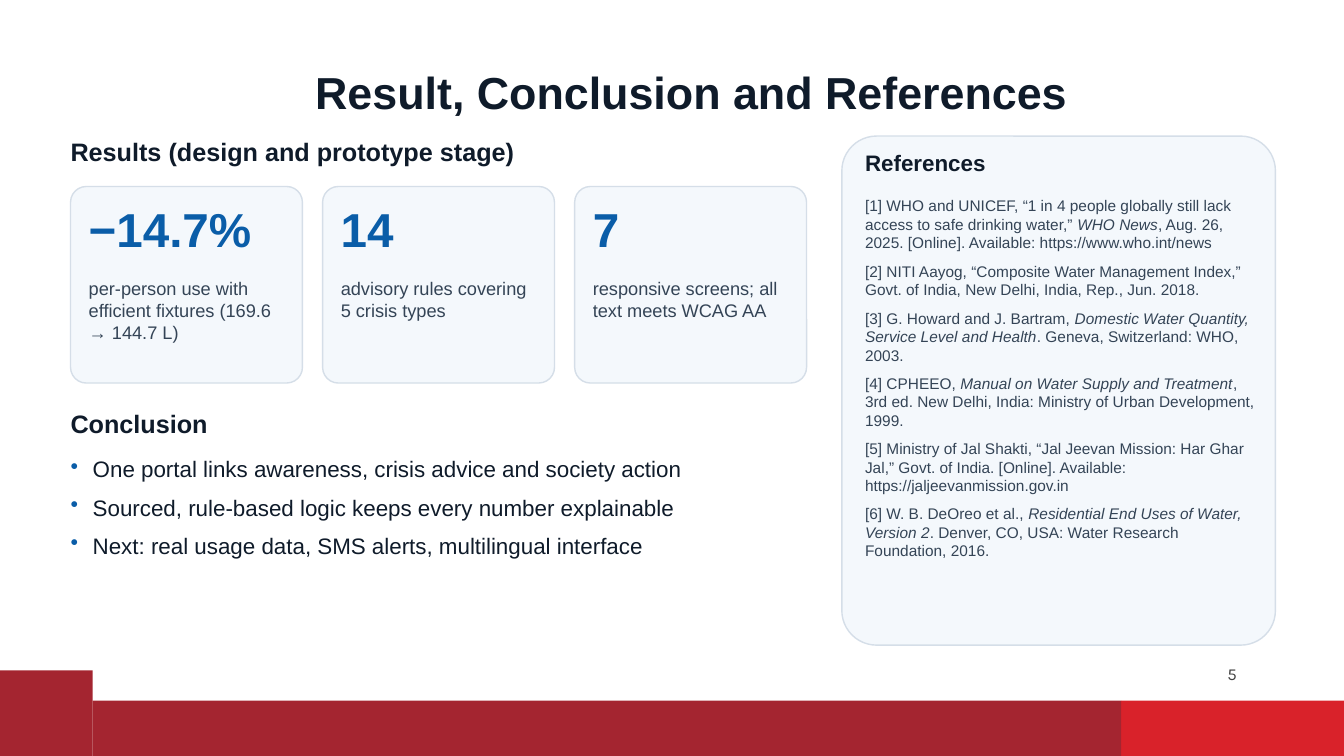
from lxml import etree
from pptx import Presentation
from pptx.dml.color import RGBColor
from pptx.enum.shapes import MSO_SHAPE
from pptx.enum.text import MSO_ANCHOR, PP_ALIGN
from pptx.oxml.ns import qn
from pptx.util import Inches, Pt

RECTANGLE = MSO_SHAPE.RECTANGLE
ROUNDED = MSO_SHAPE.ROUNDED_RECTANGLE
LEFT, CENTER = PP_ALIGN.LEFT, PP_ALIGN.CENTER
TOP, MIDDLE, BOTTOM = MSO_ANCHOR.TOP, MSO_ANCHOR.MIDDLE, MSO_ANCHOR.BOTTOM

COLORS = {
    "ink": "0F1B2A",
    "body": "344456",
    "accent": "0A5DA8",
    "card": "F4F8FC",
    "card_edge": "D5DEE8",
    "dark_red": "A42530",
    "bright_red": "D9222A",
    "page_number": "404040",
}

FOOTER_BLOCKS = [
    (0, 6.65, 0.92, 0.85, "dark_red"),
    (11.12, 6.95, 2.21, 0.55, "bright_red"),
    (0.92, 6.95, 10.2, 0.55, "dark_red"),
]

RESULTS = [
    ("−14.7%", "per-person use with efficient fixtures (169.6 → 144.7 L)"),
    ("14", "advisory rules covering 5 crisis types"),
    ("7", "responsive screens; all text meets WCAG AA"),
]

CONCLUSIONS = [
    "One portal links awareness, crisis advice and society action",
    "Sourced, rule-based logic keeps every number explainable",
    "Next: real usage data, SMS alerts, multilingual interface",
]

# Titles between asterisks are set in italics.
REFERENCES = [
    "[1] WHO and UNICEF, “1 in 4 people globally still lack access to safe "
    "drinking water,” *WHO News*, Aug. 26, 2025. [Online]. Available: "
    "https://www.who.int/news",
    "[2] NITI Aayog, “Composite Water Management Index,” Govt. of India, "
    "New Delhi, India, Rep., Jun. 2018.",
    "[3] G. Howard and J. Bartram, *Domestic Water Quantity, Service Level "
    "and Health*. Geneva, Switzerland: WHO, 2003.",
    "[4] CPHEEO, *Manual on Water Supply and Treatment*, 3rd ed. New Delhi, "
    "India: Ministry of Urban Development, 1999.",
    "[5] Ministry of Jal Shakti, “Jal Jeevan Mission: Har Ghar Jal,” Govt. of "
    "India. [Online]. Available: https://jaljeevanmission.gov.in",
    "[6] W. B. DeOreo et al., *Residential End Uses of Water, Version 2*. "
    "Denver, CO, USA: Water Research Foundation, 2016.",
]


def rgb(color):
    return RGBColor.from_string(COLORS[color])


def add_bullet(paragraph, color):
    properties = paragraph._p.get_or_add_pPr()
    indent = Inches(0.22)
    properties.set("marL", str(indent))
    properties.set("indent", str(-indent))
    bullet_color = etree.SubElement(properties, qn("a:buClr"))
    etree.SubElement(bullet_color, qn("a:srgbClr"), val=COLORS[color])
    etree.SubElement(properties, qn("a:buChar"), char="•")


def add_text(slide, paragraphs, left, top, width, height, *, size, color="ink",
             bold=False, font="Arial", align=LEFT, anchor=TOP, space_after=None,
             line_spacing=None, bullet_color=None):
    """Add a text box without insets; asterisks in a paragraph switch italics."""
    box = slide.shapes.add_textbox(Inches(left), Inches(top), Inches(width), Inches(height))
    frame = box.text_frame
    frame.word_wrap = True
    frame.vertical_anchor = anchor
    frame.margin_left = frame.margin_right = frame.margin_top = frame.margin_bottom = 0
    for index, text in enumerate(paragraphs):
        paragraph = frame.add_paragraph() if index else frame.paragraphs[0]
        if bullet_color:
            add_bullet(paragraph, bullet_color)
        paragraph.alignment = align
        if space_after is not None:
            paragraph.space_after = Pt(space_after)
        if line_spacing is not None:
            paragraph.line_spacing = line_spacing
        for part, words in enumerate(text.split("*")):
            run = paragraph.add_run()
            run.text = words
            run.font.name = font
            run.font.size = Pt(size)
            run.font.bold = bold
            run.font.italic = part % 2 == 1
            run.font.color.rgb = rgb(color)


def add_block(slide, shape_type, left, top, width, height, fill):
    block = slide.shapes.add_shape(
        shape_type, Inches(left), Inches(top), Inches(width), Inches(height))
    block.shadow.inherit = False
    block.fill.solid()
    block.fill.fore_color.rgb = rgb(fill)
    block.line.fill.background()
    return block


def add_card(slide, left, top, width, height):
    card = add_block(slide, ROUNDED, left, top, width, height, "card")
    card.adjustments[0] = 0.08
    card.line.color.rgb = rgb("card_edge")
    card.line.width = Pt(1)


def add_result(slide, left, figure, caption):
    add_card(slide, left, 1.85, 2.3, 1.95)
    text_left = left + 0.18
    add_text(slide, [figure], text_left, 1.98, 2, 0.75, size=34, color="accent", bold=True)
    add_text(slide, [caption], text_left, 2.75, 1.98, 1, size=13, color="body")


def add_references(slide):
    add_card(slide, 8.35, 1.35, 4.3, 5.05)
    add_text(slide, ["References"], 8.58, 1.48, 3.9, 0.4, size=16, bold=True)
    add_text(slide, REFERENCES, 8.58, 1.95, 3.9, 4.35, size=11, color="body", space_after=7)


def main():
    presentation = Presentation()
    presentation.slide_width = Inches(13.33)
    presentation.slide_height = Inches(7.5)
    slide = presentation.slides.add_slide(presentation.slide_layouts[6])

    for left, top, width, height, fill in FOOTER_BLOCKS:
        add_block(slide, RECTANGLE, left, top, width, height, fill)
    add_text(slide, ["Result, Conclusion and References"], 1.86, 0.44, 10, 0.74,
             size=32, bold=True, align=CENTER, anchor=BOTTOM, line_spacing=0.9)
    add_text(slide, ["5"], 11.12, 6.41, 2.2, 0.54, size=12, font="Karla",
             color="page_number", align=CENTER, anchor=MIDDLE)

    add_text(slide, ["Results (design and prototype stage)"], 0.7, 1.35, 7.3, 0.4,
             size=18, bold=True)
    for column, (figure, caption) in enumerate(RESULTS):
        add_result(slide, 0.7 + 2.5 * column, figure, caption)

    add_text(slide, ["Conclusion"], 0.7, 4.05, 7.3, 0.4, size=18, bold=True)
    add_text(slide, CONCLUSIONS, 0.7, 4.52, 7.3, 1.8, size=16, space_after=8,
             bullet_color="accent")
    add_references(slide)

    presentation.save("out.pptx")


if __name__ == "__main__":
    main()
